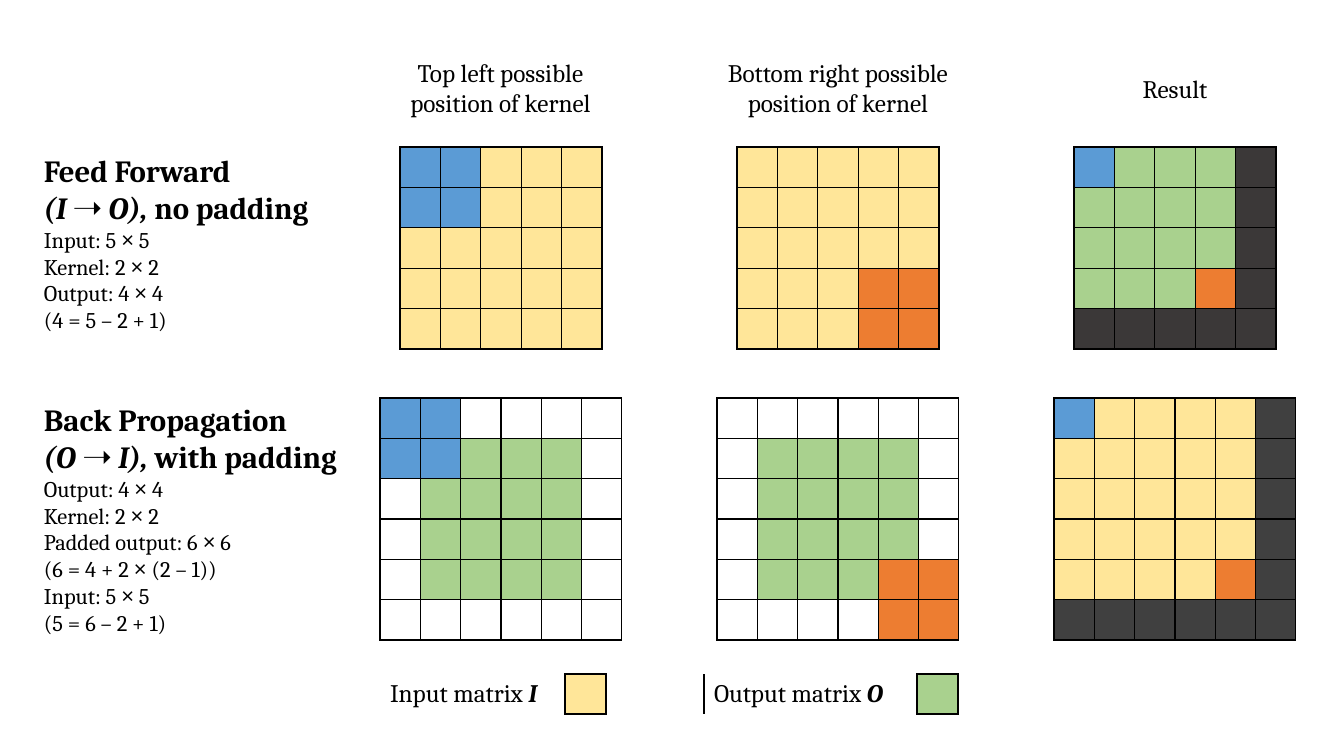
from dataclasses import dataclass
from typing import NamedTuple

from lxml import etree
from pptx import Presentation
from pptx.dml.color import RGBColor
from pptx.enum.text import MSO_ANCHOR, MSO_AUTO_SIZE, PP_ALIGN
from pptx.oxml.ns import qn
from pptx.util import Emu, Pt

LEFT, CENTER = PP_ALIGN.LEFT, PP_ALIGN.CENTER
MIDDLE = MSO_ANCHOR.MIDDLE
FIT_SHAPE = MSO_AUTO_SIZE.SHAPE_TO_FIT_TEXT
EMU_PER_PIXEL = 914400 / 100.8
BLANK_LAYOUT = 6
PLAIN_TABLE_STYLE = "{2D5ABB26-0587-4C30-8999-92F81FD0307C}"
ALL_SIDES = "LRTB"


@dataclass(frozen=True)
class Theme:
    """Colours, fonts and type sizes of the slide."""
    text: str = "000000"
    line: str = "000000"
    input: str = "FFE699"
    output: str = "A9D18E"
    first: str = "5B9BD5"
    last: str = "ED7D31"
    forward_unused: str = "3B3838"
    backward_unused: str = "404040"
    font: str = "Cambria"
    symbol_font: str = "Open Sans"
    heading_size: int = 22
    label_size: int = 18
    detail_size: int = 16
    line_width: int = 1


THEME = Theme()


class TextRun(NamedTuple):
    text: str
    size: int = THEME.label_size
    bold: bool = False
    italic: bool = False
    font: str = THEME.font


class Box(NamedTuple):
    left: int
    top: int
    width: int
    height: int


class Patch(NamedTuple):
    """Square block of cells that shares one fill."""
    start: int
    count: int
    color: str


class MatrixRow(NamedTuple):
    """Matrices side by side, each a list of patches from back to front."""
    top: int
    size: int
    count: int
    matrices: list[list[Patch]]


class Description(NamedTuple):
    box: Box
    title: str
    direction: str
    padding: str
    details: list[str]


class LegendCell(NamedTuple):
    width: int
    label: str = ""
    symbol: str = ""
    fill: str | None = None
    sides: str = ""


FIRST_CENTER, COLUMN_PITCH = 501, 337
HEADERS = [
    (Box(394, 52, 213, 72), "Top left possible\vposition of kernel"),
    (Box(707, 52, 262, 72), "Bottom right possible\vposition of kernel"),
    (Box(1129, 68, 92, 40), "Result"),
]
FORWARD_INPUT = Patch(0, 5, THEME.input)
PADDED_OUTPUT = Patch(1, 4, THEME.output)
MATRIX_ROWS = [
    MatrixRow(147, 202, 5, [
        [FORWARD_INPUT, Patch(0, 2, THEME.first)],
        [FORWARD_INPUT, Patch(3, 2, THEME.last)],
        [Patch(0, 5, THEME.forward_unused), Patch(0, 4, THEME.output),
         Patch(0, 1, THEME.first), Patch(3, 1, THEME.last)],
    ]),
    MatrixRow(398, 242, 6, [
        [PADDED_OUTPUT, Patch(0, 2, THEME.first)],
        [PADDED_OUTPUT, Patch(4, 2, THEME.last)],
        [Patch(0, 6, THEME.backward_unused), Patch(0, 5, THEME.input),
         Patch(0, 1, THEME.first), Patch(4, 1, THEME.last)],
    ]),
]
DESCRIPTIONS = [
    Description(Box(34, 147, 303, 194), "Feed Forward", "(I ➝ O), ", "no padding", [
        "Input: 5 × 5", "Kernel: 2 × 2", "Output: 4 × 4", "(4 = 5 – 2 + 1)"]),
    Description(Box(34, 396, 331, 248), "Back Propagation", "(O ➝ I), ", "with padding", [
        "Output: 4 × 4", "Kernel: 2 × 2", "Padded output: 6 × 6",
        "(6 = 4 + 2 × (2 – 1))", "Input: 5 × 5", "(5 = 6 – 2 + 1)"]),
]
LEGEND_BOX = Box(380, 674, 578, 40)
LEGEND = [
    LegendCell(185, "Input matrix ", "I"),
    LegendCell(41, fill=THEME.input, sides=ALL_SIDES),
    LegendCell(98, sides="LR"),
    LegendCell(213, "Output matrix ", "O", sides="L"),
    LegendCell(41, fill=THEME.output, sides=ALL_SIDES),
]


def px(length: float) -> Emu:
    """Turn pixels into EMU."""
    return Emu(round(length * EMU_PER_PIXEL))


def write_runs(paragraph, runs: list[TextRun], alignment=LEFT) -> None:
    """Fill a paragraph with formatted runs."""
    paragraph.text = "".join(item.text for item in runs) if len(runs) == 1 else ""
    paragraph.alignment = alignment
    for index, item in enumerate(runs):
        if len(runs) > 1:
            paragraph.add_run().text = item.text
        parts = paragraph.runs if len(runs) == 1 else [paragraph.runs[index]]
        for run in parts:
            run.font.name, run.font.size = item.font, Pt(item.size)
            run.font.bold, run.font.italic = item.bold, item.italic
            run.font.color.rgb = RGBColor.from_string(THEME.text)


def add_text(slide, box: Box, lines: list[list[TextRun]], alignment=LEFT) -> None:
    """Add an unwrapped text box with one paragraph per line."""
    text_frame = slide.shapes.add_textbox(*map(px, box)).text_frame
    text_frame.word_wrap = False
    text_frame.auto_size = FIT_SHAPE
    for index, runs in enumerate(lines):
        paragraph = text_frame.add_paragraph() if index else text_frame.paragraphs[0]
        write_runs(paragraph, runs, alignment)


def detail_runs(line: str) -> list[TextRun]:
    """Split a detail line so that the times sign has its own font."""
    before, sign, after = line.partition("×")
    fonts = (THEME.font, THEME.symbol_font, THEME.font)
    return [TextRun(text, THEME.detail_size, font=font)
            for text, font in zip((before, sign, after), fonts) if text]


def add_description(slide, item: Description) -> None:
    """Add a heading with its direction and size details."""
    size = THEME.heading_size
    heading = [[TextRun(item.title, size, True)],
               [TextRun(item.direction, size, True, True), TextRun(item.padding, size, True)]]
    add_text(slide, item.box, heading + [detail_runs(line) for line in item.details])


def add_plain_table(slide, rows: int, columns: int, box: Box):
    """Add a table without banding or style borders."""
    frame = slide.shapes.add_table(rows, columns, *map(px, box))
    frame.table.first_row = frame.table.horz_banding = False
    for style in frame.element.iter(qn("a:tableStyleId")):
        style.text = PLAIN_TABLE_STYLE
    return frame.table


def format_cell(cell, color: str | None, sides: str) -> None:
    """Set the borders, fill and margins of a cell."""
    properties = cell._tc.get_or_add_tcPr()
    for side in sides:
        line = etree.SubElement(properties, qn(f"a:ln{side}"), w=str(Pt(THEME.line_width)))
        fill = etree.SubElement(line, qn("a:solidFill"))
        etree.SubElement(fill, qn("a:srgbClr"), val=THEME.line)
    if color:
        cell.fill.solid()
        cell.fill.fore_color.rgb = RGBColor.from_string(color)
    else:
        cell.fill.background()
    cell.margin_top = cell.margin_bottom = 0
    cell.vertical_anchor = MIDDLE


def add_matrix(slide, row: MatrixRow, center: int, patches: list[Patch]) -> None:
    """Add a square matrix coloured by its patches."""
    box = Box(center - row.size // 2, row.top, row.size, row.size)
    table = add_plain_table(slide, row.count, row.count, box)
    for track in (*table.columns, *table.rows):
        setattr(track, "width" if track in tuple(table.columns) else "height", 0)
    for index in range(row.count):
        table.columns[index].width = table.rows[index].height = px(row.size / row.count)
        for column in range(row.count):
            covering = [patch.color for patch in patches
                        if all(0 <= place - patch.start < patch.count for place in (index, column))]
            format_cell(table.cell(index, column), covering[-1] if covering else None, ALL_SIDES)


def add_legend(slide) -> None:
    """Add the one-row legend table."""
    table = add_plain_table(slide, 1, len(LEGEND), LEGEND_BOX)
    for index, item in enumerate(LEGEND):
        table.columns[index].width = px(item.width)
        cell = table.cell(0, index)
        format_cell(cell, item.fill, item.sides)
        if item.label:
            write_runs(cell.text_frame.paragraphs[0],
                       [TextRun(item.label), TextRun(item.symbol, bold=True, italic=True)])


presentation = Presentation()
presentation.slide_width, presentation.slide_height = px(1344), px(756)
slide = presentation.slides.add_slide(presentation.slide_layouts[BLANK_LAYOUT])
for matrix_row in MATRIX_ROWS:
    for position, matrix in enumerate(matrix_row.matrices):
        add_matrix(slide, matrix_row, FIRST_CENTER + position * COLUMN_PITCH, matrix)
for description in DESCRIPTIONS:
    add_description(slide, description)
for header_box, header in HEADERS:
    add_text(slide, header_box, [[TextRun(header)]], CENTER)
add_legend(slide)
presentation.save("out.pptx")
